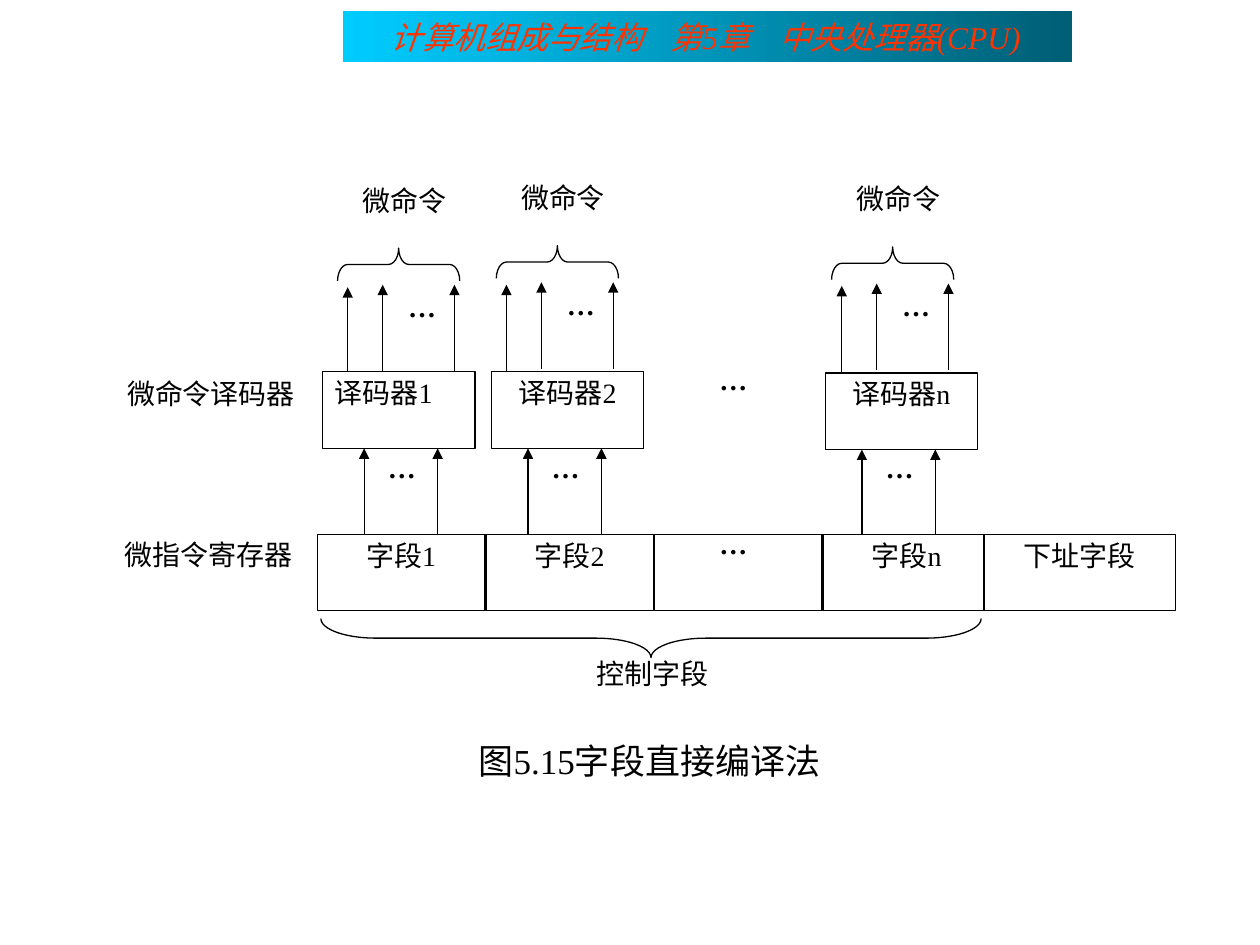
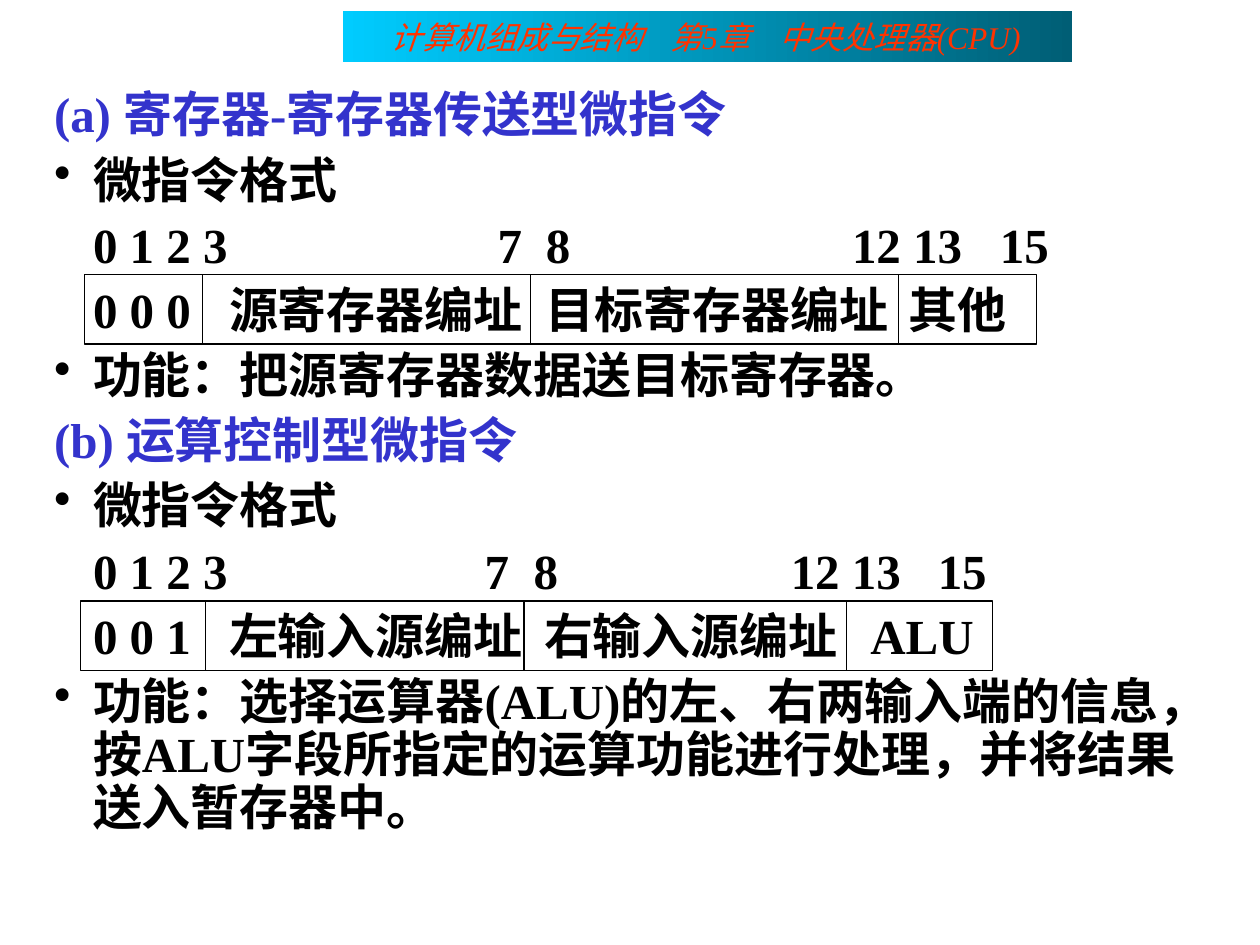
from dataclasses import dataclass

from lxml import etree
from pptx import Presentation
from pptx.dml.color import RGBColor
from pptx.enum.shapes import MSO_CONNECTOR, MSO_SHAPE
from pptx.enum.text import MSO_ANCHOR, PP_ALIGN
from pptx.oxml.ns import qn
from pptx.util import Pt

LEFT, CENTER, JUSTIFY = PP_ALIGN.LEFT, PP_ALIGN.CENTER, PP_ALIGN.JUSTIFY
TOP = MSO_ANCHOR.TOP
RECTANGLE, BRACE = MSO_SHAPE.RECTANGLE, MSO_SHAPE.LEFT_BRACE
STRAIGHT = MSO_CONNECTOR.STRAIGHT

FONT = "Times New Roman"
COLORS = {
    "ink": "000000",
    "paper": "FFFFFF",
    "heading": "3333CC",
    "band_text": "FF3300",
    "band_left": "00CCFF",
    "band_right": "005E75",
}
BLANK_LAYOUT = 6
LINE_WIDTH = 0.75
HANGING = 22.3


def color(name):
    return RGBColor.from_string(COLORS[name])


def write_paragraph(paragraph, text, size=16, ink="ink", bold=False, italic=False,
                    align=LEFT, spacing=None, before=None, hanging=0,
                    bullet=False, tabs=()):
    paragraph.alignment = align
    paragraph.line_spacing = spacing
    if before is not None:
        paragraph.space_before = Pt(before)
    properties = paragraph._p.get_or_add_pPr()
    if hanging:
        properties.set("marL", str(Pt(hanging)))
        properties.set("indent", str(-Pt(hanging)))
    if bullet:
        etree.SubElement(properties, qn("a:buChar"), char="•")
    if tabs:
        tab_list = etree.SubElement(properties, qn("a:tabLst"))
        for position in tabs:
            etree.SubElement(tab_list, qn("a:tab"), pos=str(Pt(position)), algn="l")
    run = paragraph.add_run()
    run.text = text
    font = run.font
    font.name, font.size, font.bold, font.italic = FONT, Pt(size), bold, italic
    font.color.rgb = color(ink)


class Deck:
    """Holds the shared style and the slide being drawn."""

    def __init__(self):
        self.presentation = Presentation()
        self.presentation.slide_width = Pt(720)
        self.presentation.slide_height = Pt(540)
        self.slide = None

    def new_slide(self):
        layout = self.presentation.slide_layouts[BLANK_LAYOUT]
        self.slide = self.presentation.slides.add_slide(layout)
        self.chapter_band()

    def chapter_band(self):
        band = self.shape(RECTANGLE, 195.8, 6.5, 416.9, 28.8)
        band.line.fill.background()
        band.fill.gradient()
        band.fill.gradient_angle = 0
        for stop, name in zip(band.fill.gradient_stops, ("band_left", "band_right")):
            stop.color.rgb = color(name)
        band.text_frame.margin_left = Pt(27.5)
        write_paragraph(band.text_frame.paragraphs[0],
                        "计算机组成与结构\t第5章\t中央处理器(CPU)",
                        size=18, ink="band_text", italic=True, tabs=(160, 222))

    def shape(self, kind, left, top, width, height, fill=None):
        shape = self.slide.shapes.add_shape(kind, Pt(left), Pt(top), Pt(width), Pt(height))
        shape.shadow.inherit = False
        if fill:
            shape.fill.solid()
            shape.fill.fore_color.rgb = color(fill)
        else:
            shape.fill.background()
        shape.line.color.rgb = color("ink")
        shape.line.width = Pt(LINE_WIDTH)
        shape.text_frame.vertical_anchor = TOP
        return shape

    def box(self, left, top, width, height, text="", align=CENTER):
        box = self.shape(RECTANGLE, left, top, width, height, fill="paper")
        if text:
            write_paragraph(box.text_frame.paragraphs[0], text, align=align, spacing=0.96)

    def text(self, left, top, width, height, paragraphs):
        """Each paragraph is a pair of its text and its format."""
        text_box = self.slide.shapes.add_textbox(Pt(left), Pt(top), Pt(width), Pt(height))
        frame = text_box.text_frame
        frame.word_wrap = True
        for index, (words, style) in enumerate(paragraphs):
            paragraph = frame.add_paragraph() if index else frame.paragraphs[0]
            write_paragraph(paragraph, words, **style)

    def label(self, left, top, width, text, **style):
        self.text(left, top, width, 44, [(text, {"align": CENTER, **style})])

    def dots(self, left, top):
        self.label(left, top, 47.5, "…", bold=True)

    def vertical_line(self, x, start, end, arrow=False):
        line = self.slide.shapes.add_connector(STRAIGHT, Pt(x), Pt(start), Pt(x), Pt(end))
        line.line.color.rgb = color("ink")
        line.line.width = Pt(LINE_WIDTH)
        if arrow:
            etree.SubElement(line.line._get_or_add_ln(), qn("a:tailEnd"), type="triangle")
        etree.SubElement(line._element.spPr, qn("a:effectLst"))

    def brace(self, left, top, width, height, rotation):
        """Horizontal brace: rotation 90 points up, 270 points down."""
        brace = self.shape(BRACE, left + (width - height) / 2, top + (height - width) / 2,
                           height, width)
        brace.rotation = rotation
        brace.adjustments[0] = width / height / 12


@dataclass
class DecoderColumn:
    name: str
    decoder_left: float
    decoder_top: float
    signal_left: float
    signal_top: float
    feed_left: float
    align: PP_ALIGN = CENTER


DECODER_COLUMNS = (
    DecoderColumn("1", 184.3, 212.4, 198.7, 162.7, 208.1, JUSTIFY),
    DecoderColumn("2", 280.8, 212.4, 289.4, 161.3, 301.7),
    DecoderColumn("n", 471.6, 213.1, 481, 162, 492.5),
)
BOX_HEIGHT = 43.8
FIELD_TOP = 305.3
FIELD_LEFT, FIELD_STEP, FIELD_WIDTH = 181.4, 96.3, 95.8
FIELDS = ("字段1", "字段2", "", "字段n")


def draw_decoder_column(deck, column):
    left, top = column.signal_left, column.signal_top
    deck.label(left - 7.2, top - 61.5, 79.2, "微命令")
    deck.brace(left - 5.8, top - 20.9, 69.8, 18.7, 90)
    for offset, drop in ((0, 1.4), (20, 0), (61, 0)):
        deck.vertical_line(left + offset, top + drop + 49.5, top + drop, arrow=True)
    deck.dots(left + 18.7, top - 0.7)
    deck.box(column.decoder_left, column.decoder_top, 87.1, BOX_HEIGHT,
             "译码器" + column.name, column.align)
    for offset in (0, 42):
        deck.vertical_line(column.feed_left + offset, FIELD_TOP,
                           column.decoder_top + BOX_HEIGHT, arrow=True)
    deck.dots(column.feed_left - 2.2, 253.8)


def field_encoding_slide(deck):
    deck.new_slide()
    for index, field in enumerate(FIELDS):
        deck.box(FIELD_LEFT + index * FIELD_STEP, FIELD_TOP, FIELD_WIDTH, BOX_HEIGHT, field)
    deck.box(562.3, FIELD_TOP, 109.4, BOX_HEIGHT, "下址字段")
    for column in DECODER_COLUMNS:
        draw_decoder_column(deck, column)
    for top in (203.8, 297.4):
        deck.dots(395.3, top)
    deck.label(55.4, 211.7, 130.3, "微命令译码器")
    deck.label(54, 303.8, 130.3, "微指令寄存器")
    deck.brace(183.4, 353.5, 377.3, 22.3, 270)
    deck.label(293.8, 371.5, 158.4, "控制字段")
    deck.label(205.2, 419, 331.9, "图5.15字段直接编译法", size=20)


def draw_format_frame(deck, left, top, width, dividers):
    height = 39.6
    deck.shape(RECTANGLE, left, top, width, height)
    for x in dividers:
        deck.vertical_line(x, top, top + height)


def instruction_format_slide(deck):
    deck.new_slide()
    heading = {"ink": "heading", "hanging": HANGING}
    bullet = {"bullet": True, "hanging": HANGING}
    content = (
        ("(a) 寄存器-寄存器传送型微指令", heading),
        ("微指令格式", bullet),
        ("\t0 1 2 3\t7\t8\t12 13\t15", {"tabs": (HANGING, 253.5, 281, 456, 540.5)}),
        ("\t0 0 0\t源寄存器编址\t目标寄存器编址\t其他", {"tabs": (HANGING, 100, 281, 488.5)}),
        ("功能：把源寄存器数据送目标寄存器。", bullet),
        ("(b) 运算控制型微指令", heading),
        ("微指令格式", bullet),
        ("\t0 1 2 3\t7\t8\t12 13\t15", {"tabs": (HANGING, 246, 274, 421, 505)}),
        ("\t0 0 1\t左输入源编址\t右输入源编址\tALU", {"tabs": (HANGING, 100, 280, 466.5)}),
        ("功能：选择运算器(ALU)的左、右两输入端的信息，按ALU字段所指定的运算功能进行处理，"
         "并将结果送入暂存器中。", bullet),
    )
    shared = {"size": 28, "bold": True, "spacing": 0.9}
    deck.text(23.8, 48.2, 660.2, 462.2,
              [(words, {**shared, "before": 7 if index else 0, **style})
               for index, (words, style) in enumerate(content)])
    draw_format_frame(deck, 48.2, 157, 544.3, (115.9, 303.1, 513.4))
    draw_format_frame(deck, 46.1, 343.4, 521.3, (117.4, 299.5, 483.8))


def main():
    deck = Deck()
    field_encoding_slide(deck)
    instruction_format_slide(deck)
    deck.presentation.save("out.pptx")


if __name__ == "__main__":
    main()
